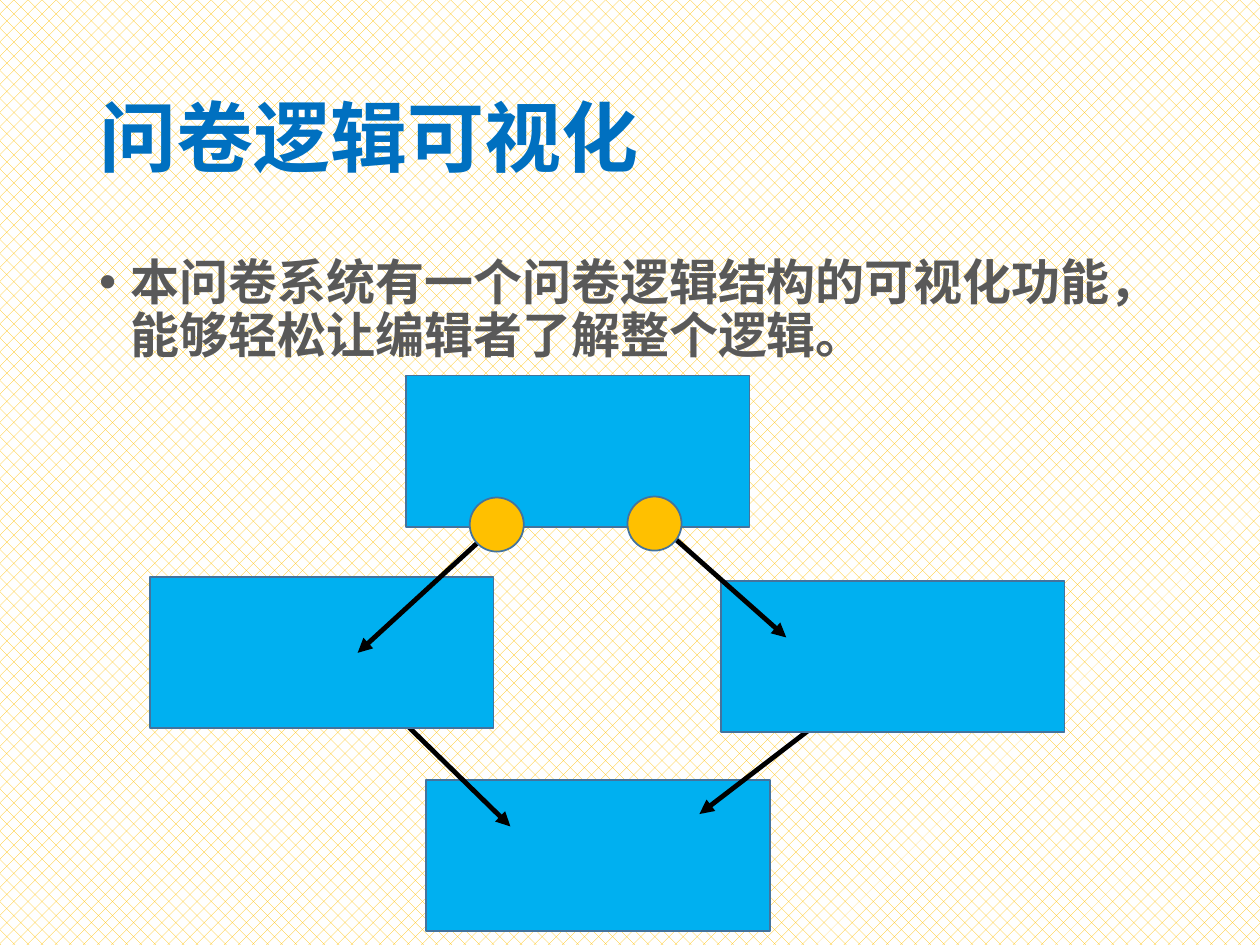
"""Build the slide on visualising questionnaire logic as a flow of boxes."""
from lxml import etree
from pptx import Presentation
from pptx.dml.color import RGBColor
from pptx.enum.dml import MSO_PATTERN
from pptx.enum.shapes import MSO_CONNECTOR, MSO_SHAPE
from pptx.enum.text import MSO_ANCHOR
from pptx.oxml.ns import qn
from pptx.util import Cm, Pt

WHITE = RGBColor(0xFF, 0xFF, 0xFF)
BLACK = RGBColor(0, 0, 0)
GOLD = RGBColor(0xFF, 0xC0, 0x00)
SKY = RGBColor(0x00, 0xB0, 0xF0)
OUTLINE = RGBColor(0x43, 0x73, 0x9E)
TITLE_BLUE = RGBColor(0x00, 0x70, 0xC0)
GREY = RGBColor(0x59, 0x59, 0x59)
FONT = "Noto Sans CJK SC"
BOX_SIZE = (6.93, 3.05)
DOT_SIZE = (1.09, 1.09)

prs = Presentation()
prs.slide_width, prs.slide_height = Cm(25.4), Cm(19.05)
slide = prs.slides.add_slide(prs.slide_layouts[6])
background = slide.background.fill
background.patterned()
background.pattern = MSO_PATTERN.PERCENT_25
background.fore_color.rgb = GOLD
background.back_color.rgb = WHITE


def add_node(preset, left, top, size, color):
    node = slide.shapes.add_shape(preset, Cm(left), Cm(top), *map(Cm, size))
    node.shadow.inherit = False
    node.fill.solid()
    node.fill.fore_color.rgb = color
    node.line.color.rgb = OUTLINE
    node.line.width = Pt(1)


def add_arrow(*ends):
    arrow = slide.shapes.add_connector(MSO_CONNECTOR.STRAIGHT, *map(Cm, ends))
    arrow.line.color.rgb = BLACK
    arrow.line.width = Pt(2.75)
    line = arrow.line._get_or_add_ln()
    for end in ("a:headEnd", "a:tailEnd"):
        etree.SubElement(line, qn(end), type="triangle")
    etree.SubElement(arrow._element.spPr, qn("a:effectLst"))


add_node(MSO_SHAPE.RECTANGLE, 8.59, 15.72, BOX_SIZE, SKY)
add_arrow(14.1, 16.41, 18.01, 13.41)
add_arrow(10.29, 16.66, 7.67, 14.1)

texts = [
    ("问卷逻辑可视化", 1.02, 3.68, 44, TITLE_BLUE, MSO_ANCHOR.MIDDLE, False),
    ("本问卷系统有一个问卷逻辑结构的可视化功能，能够轻松让编辑者了解整个逻辑。",
     5.08, 12.09, 28, GREY, MSO_ANCHOR.TOP, True),
]
for text, top, height, size, color, anchor, bulleted in texts:
    box = slide.shapes.add_textbox(Cm(1.75), Cm(top), Cm(21.89), Cm(height))
    frame = box.text_frame
    frame.word_wrap = True
    frame.vertical_anchor = anchor
    paragraph = frame.paragraphs[0]
    paragraph.line_spacing = 0.9
    if bulleted:
        paragraph.space_before = Pt(10)
        properties = paragraph._p.get_or_add_pPr()
        properties.set("marL", str(Cm(0.64)))
        properties.set("indent", str(Cm(-0.64)))
        etree.SubElement(properties, qn("a:buFont"), typeface="Arial")
        etree.SubElement(properties, qn("a:buChar"), char="•")
    run = paragraph.add_run()
    run.text = text
    run.font.size = Pt(size)
    run.font.bold = True
    run.font.color.rgb = color
    run.font.name = FONT
    etree.SubElement(run._r.get_or_add_rPr(), qn("a:ea"), typeface=FONT)

for left, top in [(8.18, 7.57), (3.02, 11.63), (14.53, 11.71)]:
    add_node(MSO_SHAPE.RECTANGLE, left, top, BOX_SIZE, SKY)
add_arrow(10.01, 10.59, 7.21, 13.16)
add_arrow(15.85, 12.85, 13.28, 10.57)
for left, top in [(9.47, 10.03), (12.65, 10.01)]:
    add_node(MSO_SHAPE.OVAL, left, top, DOT_SIZE, GOLD)

prs.save("out.pptx")
